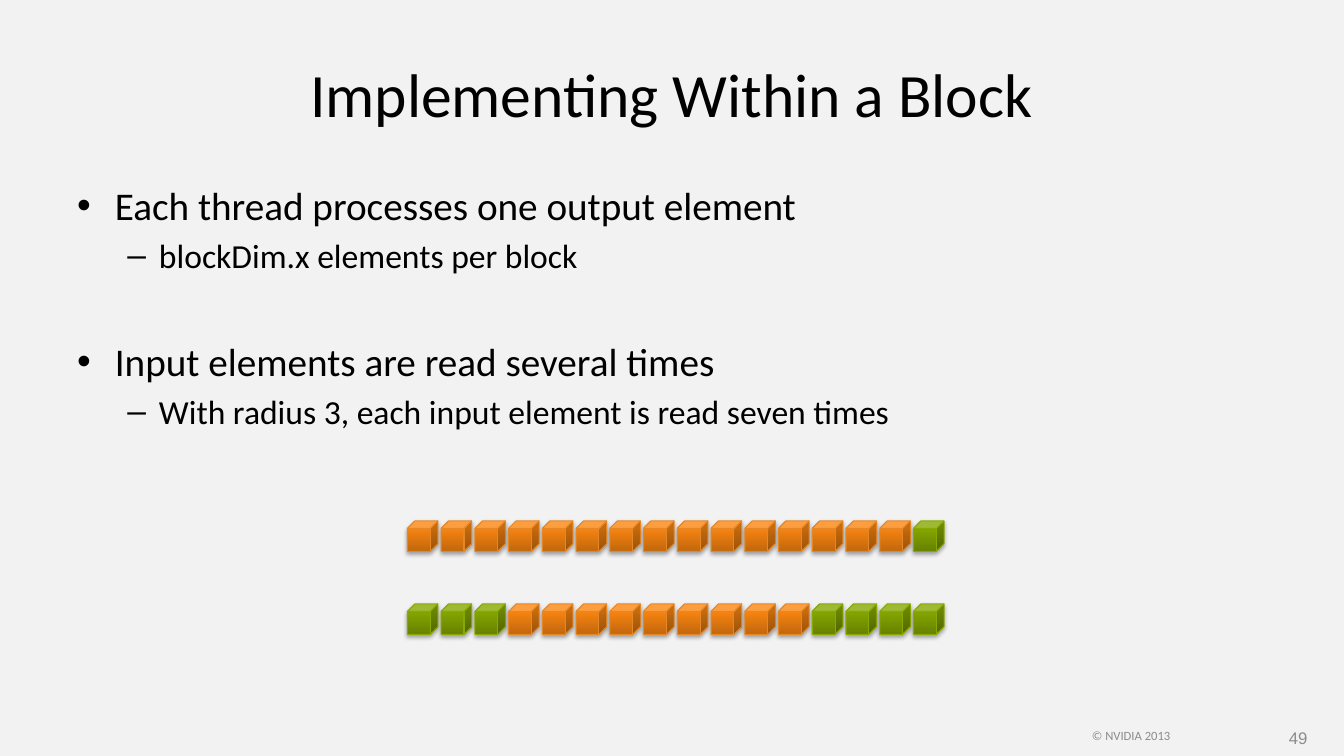
from copy import deepcopy
from dataclasses import dataclass

from lxml import etree
from pptx import Presentation
from pptx import util as u
from pptx.dml.color import RGBColor
from pptx.enum import shapes, text
from pptx.oxml.ns import qn

Pt = u.Pt


@dataclass(frozen=True)
class Theme:
    back: str = "F2F2F2"
    ink: str = "000000"
    grey: str = "8C8C8C"
    green: tuple = ("678100", "86A800", "86A800", "87A900")
    orange: tuple = ("C1670D", "FB8611", "FF860E", "E68727")
    font: str = "Calibri"
    plain: str = "Arial"
    title: int = 44
    point: int = 28
    detail: int = 24
    note: int = 9
    page: int = 12


def rgb(code):
    return RGBColor.from_string(code)


def add(parent, tag, **attrs):
    return etree.SubElement(parent, qn(tag), attrs)


class Board:
    def __init__(self, slide, theme):
        self.slide = slide
        self.theme = theme
        fill = slide.background.fill
        fill.solid()
        fill.fore_color.rgb = rgb(theme.back)

    def frame(self, box, anchor):
        shape = self.slide.shapes.add_textbox(*map(Pt, box))
        frame = shape.text_frame
        frame.word_wrap = True
        frame.vertical_anchor = anchor
        return frame

    def style(self, para, size, color, font):
        para.font.size = Pt(size)
        para.font.name = font
        para.font.color.rgb = rgb(color)

    def label(self, box, words, size, color, font, align):
        frame = self.frame(box, text.MSO_ANCHOR.MIDDLE)
        para = frame.paragraphs[0]
        para.text = words
        para.alignment = align
        self.style(para, size, color, font)

    def bullets(self, box, items):
        theme = self.theme
        levels = (("•", 27, -27, theme.point), ("–", 58.5, -22.5, theme.detail))
        frame = self.frame(box, text.MSO_ANCHOR.TOP)
        for i, (level, space, words) in enumerate(items):
            para = frame.paragraphs[0] if i == 0 else frame.add_paragraph()
            para.text = words
            para.level = level
            if space:
                para.space_before = Pt(space)
            mark, left, hang, size = levels[level]
            props = para._p.get_or_add_pPr()
            props.set("marL", str(Pt(left)))
            props.set("indent", str(Pt(hang)))
            add(props, "a:buFont", typeface=theme.plain)
            add(props, "a:buChar", char=mark)
            self.style(para, size, theme.ink, theme.font)

    def cube(self, left, top, side, tones):
        shape = self.slide.shapes.add_shape(
            shapes.MSO_SHAPE.CUBE, Pt(left), Pt(top), Pt(side), Pt(side))
        fill = shape.fill
        fill.gradient()
        fill.gradient_angle = 90
        stops = shape._element.spPr.find(qn("a:gradFill")).find(qn("a:gsLst"))
        stops.append(deepcopy(stops[-1]))
        for stop, place, tone in zip(fill.gradient_stops, (0, 0.8, 1), tones):
            stop.position = place
            stop.color.rgb = rgb(tone)
        shape.line.color.rgb = rgb(tones[-1])
        shape.line.width = Pt(0.75)
        shape.shadow.inherit = False
        effects = shape._element.spPr.find(qn("a:effectLst"))
        shade = add(effects, "a:outerShdw", blurRad=str(Pt(3.1)),
                    dist=str(Pt(1.8)), dir="5400000", rotWithShape="0")
        color = add(shade, "a:srgbClr", val=self.theme.ink)
        add(color, "a:alpha", val="35000")

    def row(self, left, top, runs):
        side, pitch = 21.8, 24.1
        cells = [tones for count, tones in runs for _ in range(count)]
        for i, tones in enumerate(cells):
            self.cube(left + i * pitch, top, side, tones)


def main():
    deck = Presentation()
    deck.slide_width, deck.slide_height = Pt(960), Pt(540)
    theme = Theme()
    board = Board(deck.slides.add_slide(deck.slide_layouts[6]), theme)
    align = text.PP_ALIGN

    board.label((48, 21.6, 864, 90), "Implementing Within a Block",
                theme.title, theme.ink, theme.font, align.CENTER)
    board.bullets((48, 126, 864, 356.4), (
        (0, 0, "Each thread processes one output element"),
        (1, 4.8, "blockDim.x elements per block"),
        (0, 44, "Input elements are read several times"),
        (1, 4.8, "With radius 3, each input element is read seven times"),
    ))
    board.row(291, 372, ((15, theme.orange), (1, theme.green)))
    board.row(291, 431.3, ((3, theme.green), (9, theme.orange), (4, theme.green)))
    board.label((656, 511.2, 304, 28.8), "© NVIDIA 2013",
                theme.note, theme.grey, theme.font, align.CENTER)
    board.label((717, 514, 224, 26.6), "49",
                theme.page, theme.grey, theme.plain, align.RIGHT)
    deck.save("out.pptx")


if __name__ == "__main__":
    main()
